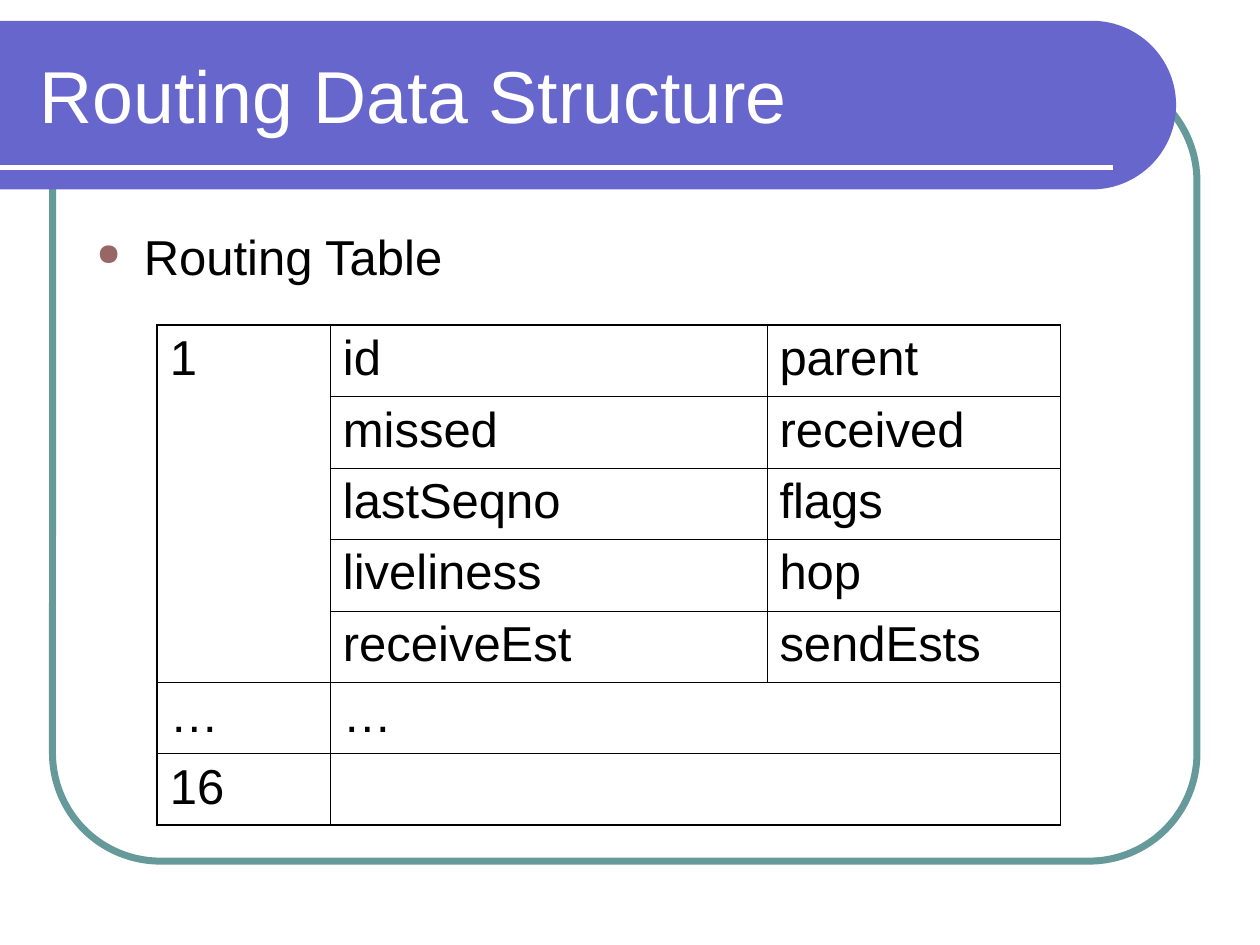
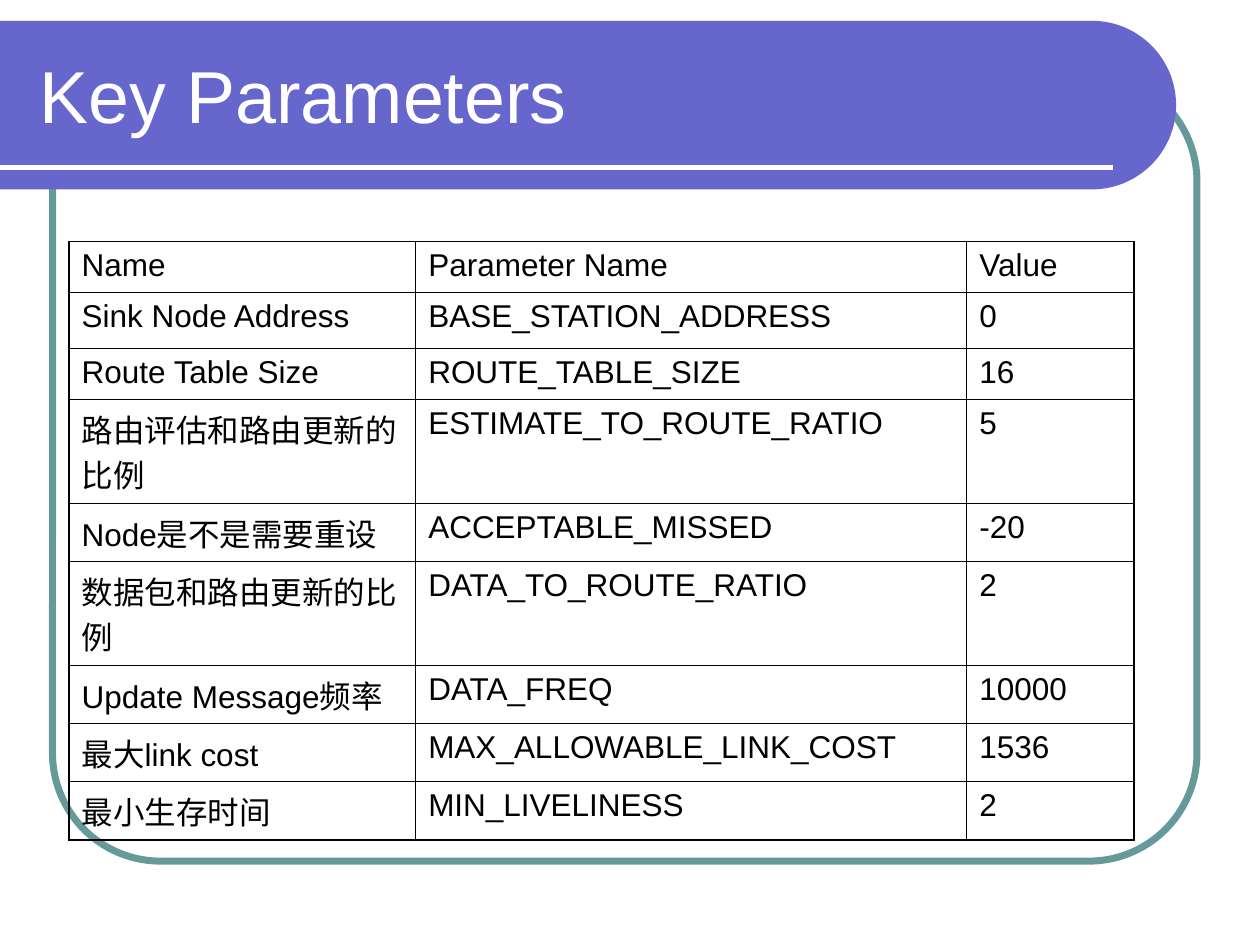
from math import cos, pi, sin

from lxml.etree import SubElement
from pptx import Presentation
from pptx.dml.color import RGBColor
from pptx.enum.shapes import MSO_CONNECTOR, MSO_SHAPE
from pptx.enum.text import MSO_ANCHOR
from pptx.oxml.ns import qn
from pptx.util import Cm, Pt

ROUTING_ROWS = [
    ("1", "id", "parent"),
    ("", "missed", "received"),
    ("", "lastSeqno", "flags"),
    ("", "liveliness", "hop"),
    ("", "receiveEst", "sendEsts"),
    ("…", "…", ""),
    ("16", "", ""),
]
ROUTING_MERGES = [((0, 0), (4, 0)), ((5, 1), (5, 2)), ((6, 1), (6, 2))]
PARAMETER_ROWS = [
    ("Name", "Parameter Name", "Value"),
    ("Sink Node Address", "BASE_STATION_ADDRESS", "0"),
    ("Route Table Size", "ROUTE_TABLE_SIZE", "16"),
    ("路由评估和路由更新的比例", "ESTIMATE_TO_ROUTE_RATIO", "5"),
    ("Node是不是需要重设", "ACCEPTABLE_MISSED", "-20"),
    ("数据包和路由更新的比例", "DATA_TO_ROUTE_RATIO", "2"),
    ("Update Message频率", "DATA_FREQ", "10000"),
    ("最大link cost", "MAX_ALLOWABLE_LINK_COST", "1536"),
    ("最小生存时间", "MIN_LIVELINESS", "2"),
]
PARAMETER_HEIGHTS = [1.02, 1.14, 1.02, 2.1, 1.17, 2.1, 1.17, 1.17, 1.17]

FONT = "Arial"
BAND = RGBColor(0x66, 0x66, 0xCC)
FRAME = RGBColor(0x66, 0x99, 0x99)
BULLET = RGBColor(0x99, 0x66, 0x66)
WHITE = RGBColor(0xFF, 0xFF, 0xFF)
BLACK = RGBColor(0, 0, 0)
OUTER_BORDER, INNER_BORDER = Pt(1.08), Pt(0.45)

BAND_TOP, BAND_RADIUS, BAND_STRAIGHT = 0.42, 1.7, 22.01
ARC_STEPS = 60


def style_text(paragraph, size, color):
    paragraph.font.name = FONT
    paragraph.font.size = Pt(size)
    paragraph.font.color.rgb = color


def add_text(slide, text, box, size, color, anchor=MSO_ANCHOR.TOP, bulleted=False):
    frame = slide.shapes.add_textbox(*map(Cm, box)).text_frame
    frame.word_wrap = True
    frame.vertical_anchor = anchor
    paragraph = frame.paragraphs[0]
    paragraph.text = text
    if bulleted:
        add_bullet(paragraph)
    style_text(paragraph, size, color)


def add_bullet(paragraph):
    properties = paragraph._p.get_or_add_pPr()
    properties.set("marL", str(Cm(0.95)))
    properties.set("indent", str(-Cm(0.95)))
    SubElement(SubElement(properties, qn("a:buClr")), qn("a:srgbClr"), val=str(BULLET))
    SubElement(properties, qn("a:buSzPct"), val="62000")
    SubElement(properties, qn("a:buChar"), char="●")


def add_titled_slide(deck, title):
    slide = deck.slides.add_slide(deck.slide_layouts[6])
    shapes = slide.shapes

    frame = shapes.add_shape(MSO_SHAPE.ROUNDED_RECTANGLE,
                             Cm(1.06), Cm(1.48), Cm(23.07), Cm(15.88))
    frame.adjustments[0] = 0.137
    frame.shadow.inherit = False
    frame.fill.background()
    frame.line.color.rgb = FRAME
    frame.line.width = Pt(4)

    angles = [pi * step / ARC_STEPS - pi / 2 for step in range(ARC_STEPS + 1)]
    arc = [(Cm(BAND_STRAIGHT + BAND_RADIUS * cos(angle)),
            Cm(BAND_TOP + BAND_RADIUS * (1 + sin(angle)))) for angle in angles]
    outline = shapes.build_freeform(0, Cm(BAND_TOP))
    outline.add_line_segments(arc + [(0, Cm(BAND_TOP + 2 * BAND_RADIUS))])
    band = outline.convert_to_shape()
    band.shadow.inherit = False
    band.fill.solid()
    band.fill.fore_color.rgb = BAND
    band.line.fill.background()

    rule = shapes.add_connector(MSO_CONNECTOR.STRAIGHT, 0, Cm(3.38), Cm(22.43), Cm(3.38))
    rule.line.color.rgb = WHITE
    rule.line.width = Pt(3)
    SubElement(rule._element.spPr, qn("a:effectLst"))

    add_text(slide, title, (0.55, 0.62, 22.28, 2.54), 42, WHITE, MSO_ANCHOR.MIDDLE)
    return slide


def add_borders(cell, outer_sides):
    """Draw all four borders, thicker on the sides at the table's edge."""
    properties = cell._tc.get_or_add_tcPr()
    for side in "LRTB":
        width = OUTER_BORDER if side in outer_sides else INNER_BORDER
        line = SubElement(properties, qn(f"a:ln{side}"), w=str(width))
        SubElement(SubElement(line, qn("a:solidFill")), qn("a:srgbClr"), val=str(BLACK))


def add_grid(slide, rows, left, top, widths, heights, size, merges=()):
    table = slide.shapes.add_table(len(rows), len(widths), Cm(left), Cm(top),
                                   Cm(sum(widths)), Cm(sum(heights))).table
    table.first_row = table.horz_banding = False
    for column, width in zip(table.columns, widths):
        column.width = Cm(width)
    for row, height in zip(table.rows, heights):
        row.height = Cm(height)
    for first, last in merges:
        table.cell(*first).merge(table.cell(*last))

    for r, texts in enumerate(rows):
        for c, text in enumerate(texts):
            cell = table.cell(r, c)
            if cell.is_spanned:
                continue
            at_edge = {"L": c == 0, "T": r == 0,
                       "R": c + cell.span_width == len(widths),
                       "B": r + cell.span_height == len(rows)}
            add_borders(cell, [side for side, edge in at_edge.items() if edge])
            cell.fill.background()
            cell.text = text
            style_text(cell.text_frame.paragraphs[0], size, BLACK)


def main():
    deck = Presentation()
    deck.slide_width, deck.slide_height = Cm(25.4), Cm(19.05)

    routing = add_titled_slide(deck, "Routing Data Structure")
    add_text(routing, "Routing Table", (1.7, 4.45, 10.8, 12.28), 28, BLACK, bulleted=True)
    add_grid(routing, ROUTING_ROWS, 3.17, 6.55, [3.49, 8.8, 5.92],
             [1.44] * len(ROUTING_ROWS), 28, ROUTING_MERGES)

    parameters = add_titled_slide(deck, "Key Parameters")
    add_grid(parameters, PARAMETER_ROWS, 1.39, 4.87, [6.99, 11.11, 3.37],
             PARAMETER_HEIGHTS, 18)

    deck.save("out.pptx")


if __name__ == "__main__":
    main()
